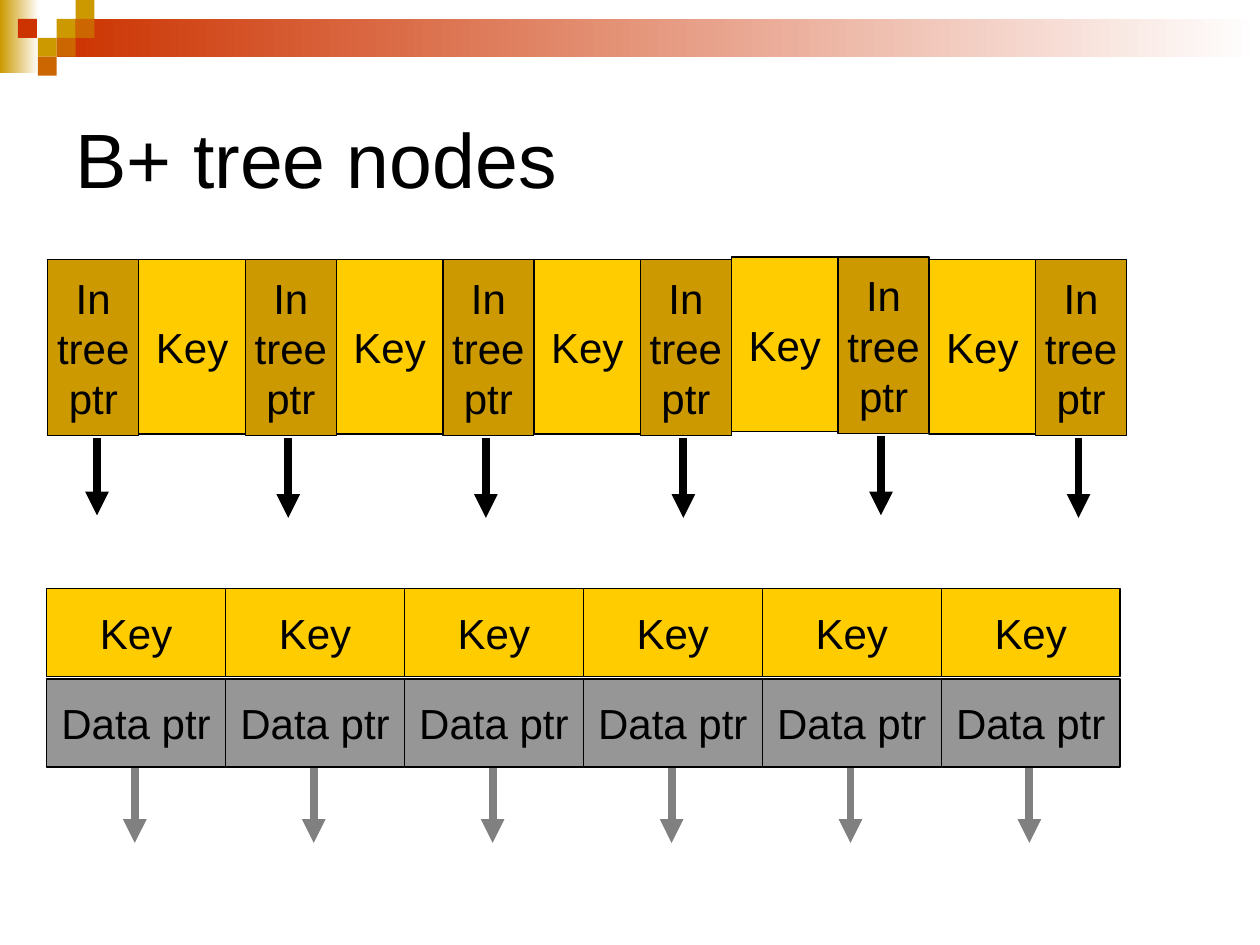
from dataclasses import dataclass

from pptx import Presentation
from pptx.dml.color import RGBColor
from pptx.enum.shapes import MSO_CONNECTOR, MSO_SHAPE
from pptx.enum.text import MSO_ANCHOR, MSO_AUTO_SIZE, PP_ALIGN
from pptx.oxml import parse_xml
from pptx.oxml.ns import nsdecls
from pptx.shapes.autoshape import Shape
from pptx.slide import Slide
from pptx.text.text import _Paragraph
from pptx.util import Inches, Pt


@dataclass(frozen=True)
class Theme:
    font: str = "Arial"
    head: int = 44
    body: int = 24
    rule: float = 0.75
    shaft: float = 4.5
    ink: str = "000000"
    paper: str = "FFFFFF"
    key: str = "FFCC00"
    ochre: str = "CC9900"
    rust: str = "CC6600"
    red: str = "CC3300"
    data: str = "969696"
    grey: str = "808080"


@dataclass(frozen=True)
class Box:
    left: float
    top: float
    wide: float
    high: float


@dataclass(frozen=True)
class Grid:
    """Origin and cell size, in inches."""
    left: float
    top: float
    col: float
    row: float

    def box(self, col: float, row: float, wide: float = 1, high: float = 1) -> Box:
        return Box(self.left + col * self.col, self.top + row * self.row,
                   wide * self.col, high * self.row)


@dataclass(frozen=True)
class Cell:
    box: Box
    fill: str
    lines: tuple[str, ...]


@dataclass(frozen=True)
class Arrow:
    x: float
    top: float
    end: float
    hue: str


THEME = Theme()
COUNT = 6
WIDE, HIGH = 10, 7.5
TILE = Grid(0, 0, 0.15, 0.15)
INNER = Grid(0.38, 2.06, 7.84 / (COUNT - 1), 1.4)
LEAF = Grid(0.37, 4.67, 1.42, 0.72)
PTR = 0.46  # pointer's share of an inner column
LIFT = 0.02  # the fifth inner pair sits slightly higher
TILES = ((3, 1, THEME.ochre), (4, 0, THEME.ochre), (4, 1, THEME.rust),
         (2, 2, THEME.ochre), (0.95, 1, THEME.red), (3, 2, THEME.rust),
         (2, 3, THEME.rust))


def rgb(hue: str) -> RGBColor:
    return RGBColor.from_string(hue)


def add_run(para: _Paragraph, text: str, size: int) -> None:
    run = para.add_run()
    run.text = text
    run.font.name = THEME.font
    run.font.size = Pt(size)
    run.font.color.rgb = rgb(THEME.ink)


def add_rect(slide: Slide, box: Box) -> Shape:
    shape = slide.shapes.add_shape(
        MSO_SHAPE.RECTANGLE, Inches(box.left), Inches(box.top),
        Inches(box.wide), Inches(box.high))
    shape.shadow.inherit = False
    shape.line.fill.background()
    return shape


def add_tile(slide: Slide, box: Box, hue: str) -> Shape:
    shape = add_rect(slide, box)
    shape.fill.solid()
    shape.fill.fore_color.rgb = rgb(hue)
    return shape


def add_fade(slide: Slide, box: Box, hue: str) -> None:
    """Band that fades to paper from left to right."""
    fill = add_rect(slide, box).fill
    fill.gradient()
    fill.gradient_angle = 0
    for stop, tint in zip(fill.gradient_stops, (hue, THEME.paper)):
        stop.color.rgb = rgb(tint)


def add_cell(slide: Slide, cell: Cell) -> None:
    shape = add_tile(slide, cell.box, cell.fill)
    shape.line.color.rgb = rgb(THEME.ink)
    shape.line.width = Pt(THEME.rule)
    frame = shape.text_frame
    frame.word_wrap = False
    frame.vertical_anchor = MSO_ANCHOR.MIDDLE
    para = frame.paragraphs[0]
    para.alignment = PP_ALIGN.CENTER
    for i, line in enumerate(cell.lines):
        if i:
            para.add_line_break()
        add_run(para, line, THEME.body)


def add_arrow(slide: Slide, arrow: Arrow) -> None:
    link = slide.shapes.add_connector(
        MSO_CONNECTOR.STRAIGHT, Inches(arrow.x), Inches(arrow.top),
        Inches(arrow.x), Inches(arrow.end))
    link.line.color.rgb = rgb(arrow.hue)
    link.line.width = Pt(THEME.shaft)
    link.line._get_or_add_ln().append(
        parse_xml(f'<a:tailEnd {nsdecls("a")} type="triangle"/>'))
    link._element.spPr.append(parse_xml(f'<a:effectLst {nsdecls("a")}/>'))


def add_trim(slide: Slide) -> None:
    add_fade(slide, Box(0, 0, 0.31, 0.58), THEME.ochre)
    add_fade(slide, Box(0.45, 0.15, WIDE - 0.45, 0.3), THEME.red)
    for col, row, hue in TILES:
        add_tile(slide, TILE.box(col, row), hue)


def add_title(slide: Slide, text: str) -> None:
    title = slide.shapes.title
    title.left, title.top = Inches(WIDE * 0.05), Inches(0.5)
    title.width, title.height = Inches(WIDE * 0.9), Inches(HIGH * 0.2)
    frame = title.text_frame
    frame.auto_size = MSO_AUTO_SIZE.NONE
    frame.vertical_anchor = MSO_ANCHOR.MIDDLE
    para = frame.paragraphs[0]
    para.alignment = PP_ALIGN.LEFT
    add_run(para, text, THEME.head)


def add_inner(slide: Slide) -> None:
    """Inner node: a pointer, then pairs of key and pointer."""
    for i in range(COUNT):
        lift = LIFT if i == 4 else 0
        row = -lift / INNER.row
        if i:
            key = INNER.box(i - 1 + PTR, row, 1 - PTR, 0.99)
            add_cell(slide, Cell(key, THEME.key, ("Key",)))
        ptr = INNER.box(i, row, PTR)
        x = ptr.left + (0.34 if i else 0.39)
        end = (4.11 if i else 4.09) - lift
        add_arrow(slide, Arrow(x, 3.48 - lift, end, THEME.ink))
        add_cell(slide, Cell(ptr, THEME.ochre, ("In", "tree", "ptr")))


def add_leaf(slide: Slide) -> None:
    """Leaf node: each key above its data pointer."""
    for i in range(COUNT):
        key, data = (LEAF.box(i, row, 1, 0.97) for row in range(2))
        add_cell(slide, Cell(key, THEME.key, ("Key",)))
        add_arrow(slide, Arrow(data.left + 0.7, 6.09, 6.69, THEME.grey))
        add_cell(slide, Cell(data, THEME.data, ("Data ptr",)))


def main() -> None:
    deck = Presentation()
    deck.slide_width, deck.slide_height = Inches(WIDE), Inches(HIGH)
    slide = deck.slides.add_slide(deck.slide_layouts.get_by_name("Title Only"))
    add_trim(slide)
    add_title(slide, "B+ tree nodes")
    add_inner(slide)
    add_leaf(slide)
    deck.save("out.pptx")


if __name__ == "__main__":
    main()
